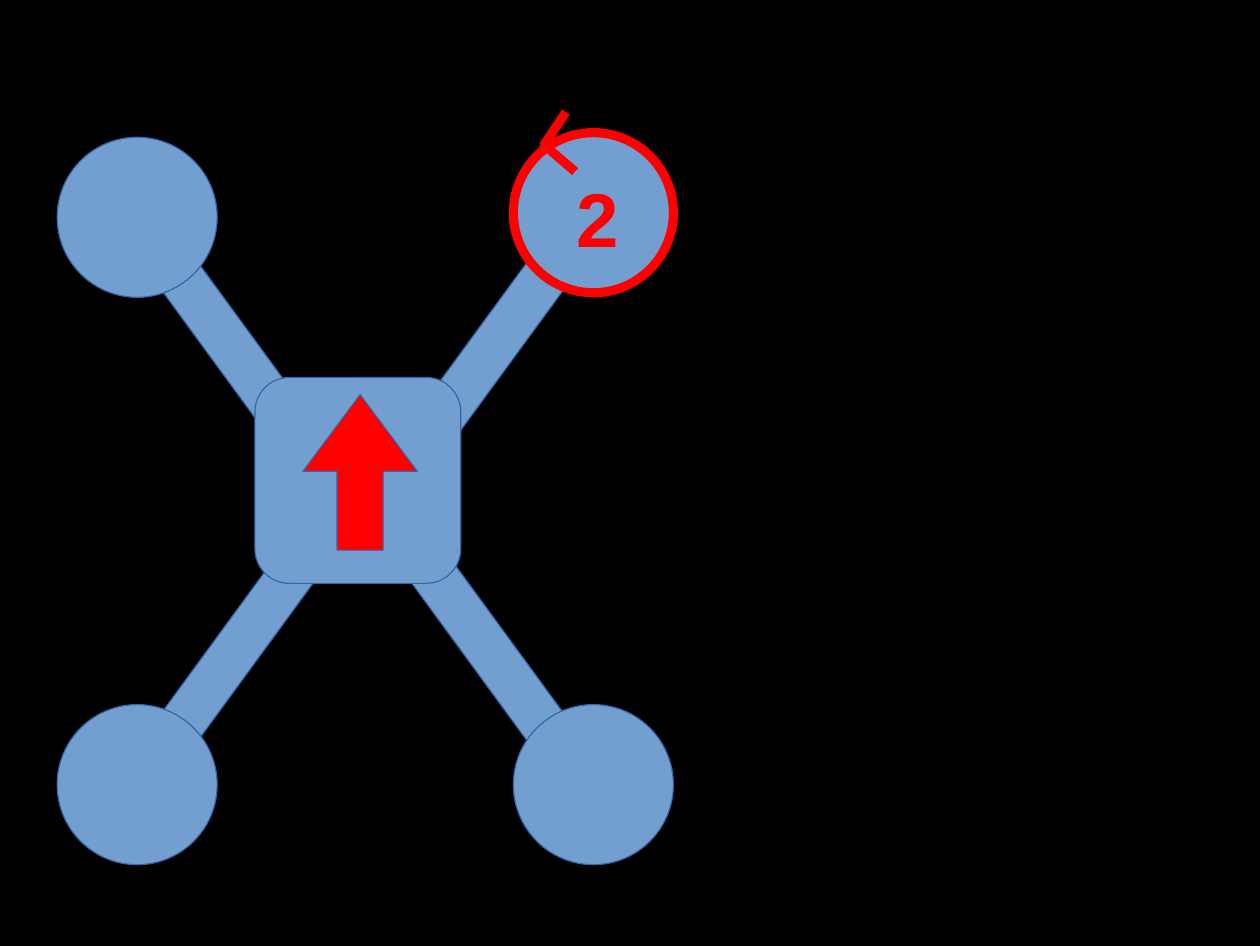
from pptx import Presentation
from pptx.dml.color import RGBColor
from pptx.enum.shapes import MSO_SHAPE as Kind
from pptx.enum.text import MSO_ANCHOR, MSO_AUTO_SIZE, PP_ALIGN
from pptx.util import Inches, Pt
from lxml.etree import SubElement
from pptx.oxml.ns import qn

SIZE = (11.02, 8.27)
BLACK, BLUE, EDGE, RED = "000000", "729FCF", "3465A4", "FF0000"
HAIR, BOLD = 0, 5.75

# Drone parts: left, top, width, height in inches
ARM_X, ARM_Y, ARM_SIZE, TILT = (0.24, 2.8), (2.65, 5.72), (3.3, 0.4), 53.8
BODY = (2.23, 3.3, 1.8, 1.8)
ARROW = (2.65, 3.45, 1, 1.36)
DISC = 1.4
ROTORS = [(0.5, 1.2), (0.5, 6.16), (4.49, 6.16)]
ACTIVE = (4.49, 1.16)
LABEL, LABEL_BOX = "2", (4.94, 1.45, 0.57, 0.84)
TICKS = [(4.95, 0.98, 4.75, 1.28), (5.03, 1.5, 4.74, 1.25)]


def color(code):
    return RGBColor.from_string(code)


def inches(box):
    return [Inches(v) for v in box]


def stroke(line, code, width):
    line.color.rgb = color(code)
    line.width = Pt(width)


def draw(home, kind, box, fill=BLUE, edge=EDGE, width=HAIR, adj=(), turn=0):
    shape = home.add_shape(kind, *inches(box))
    shape.shadow.inherit = False
    shape.fill.solid()
    shape.fill.fore_color.rgb = color(fill)
    stroke(shape.line, edge, width)
    shape.rotation = turn
    for i, value in enumerate(adj):
        shape.adjustments[i] = value


deck = Presentation()
deck.slide_width, deck.slide_height = inches(SIZE)
slide = deck.slides.add_slide(deck.slide_layouts[6])
slide.background.fill.solid()
slide.background.fill.fore_color.rgb = color(BLACK)
shapes = slide.shapes

# Arms cross the body, so opposite ones share a tilt
for row, y in enumerate(ARM_Y):
    for col, x in enumerate(ARM_X):
        turn = TILT if row == col else 360 - TILT
        draw(shapes, Kind.RECTANGLE, (x, y, *ARM_SIZE), turn=turn)

# Body with heading arrow
draw(shapes, Kind.ROUNDED_RECTANGLE, BODY, adj=[0.167])
draw(shapes, Kind.UP_ARROW, ARROW, fill=RED, adj=[0.403, 0.671])

# Idle rotors
for spot in ROTORS:
    draw(shapes, Kind.OVAL, (*spot, DISC, DISC))

# Active rotor with its number and spin mark
group = shapes.add_group_shape().shapes
draw(group, Kind.OVAL, (*ACTIVE, DISC, DISC), edge=RED, width=BOLD)

frame = group.add_textbox(*inches(LABEL_BOX)).text_frame
looks = {"word_wrap": False, "auto_size": MSO_AUTO_SIZE.SHAPE_TO_FIT_TEXT,
         "vertical_anchor": MSO_ANCHOR.TOP}
for name, value in looks.items():
    setattr(frame, name, value)
para = frame.paragraphs[0]
para.alignment = PP_ALIGN.LEFT
run = para.add_run()
run.text = LABEL
for name, value in {"name": "Arial", "size": Pt(48), "bold": True}.items():
    setattr(run.font, name, value)
run.font.color.rgb = color(RED)

for ends in TICKS:
    tick = group.add_connector(1, *inches(ends))
    stroke(tick.line, RED, BOLD)
    SubElement(tick._element.spPr, qn("a:effectLst"))

deck.save("out.pptx")
